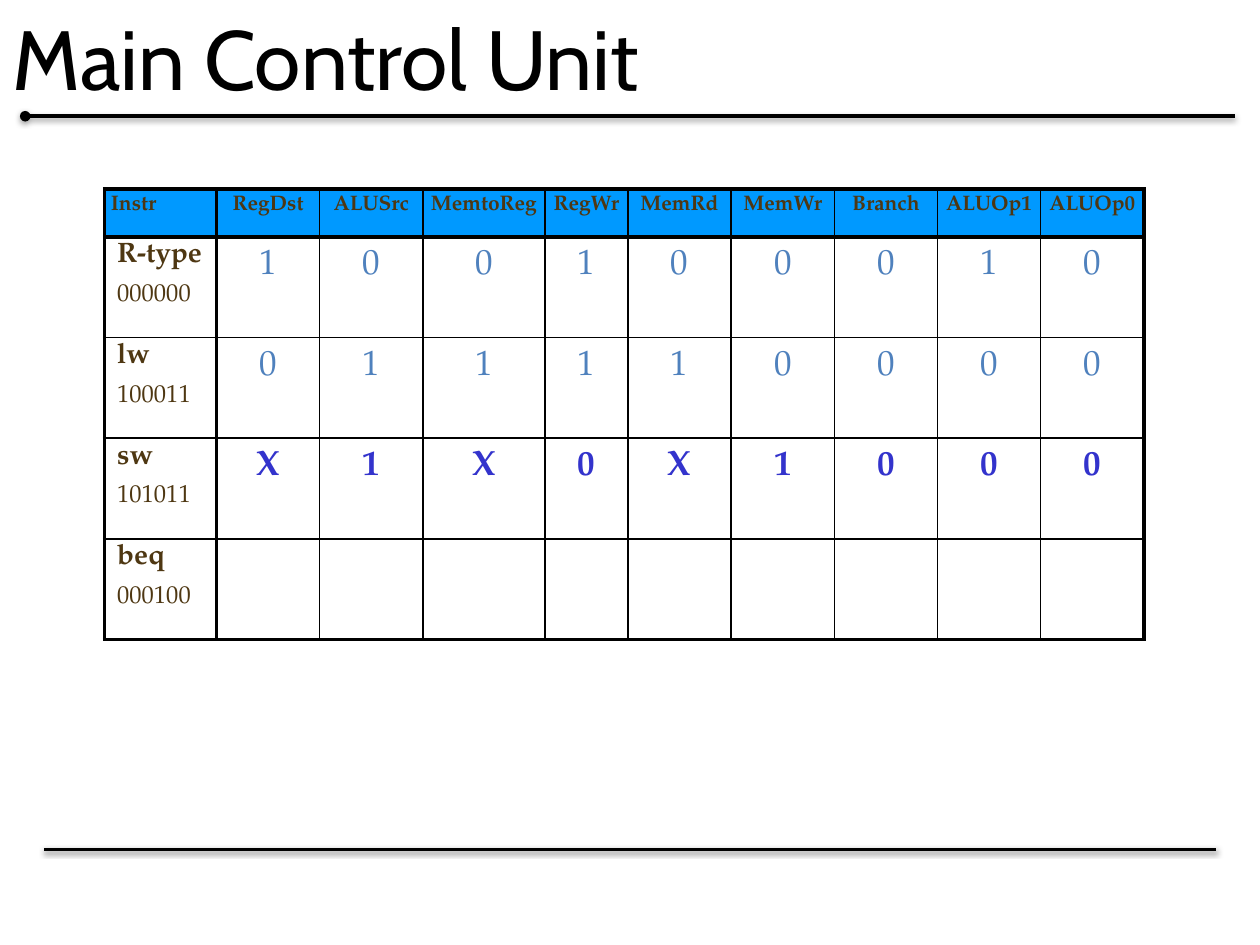
from dataclasses import dataclass

from lxml.etree import SubElement
from pptx import Presentation
from pptx.dml.color import RGBColor
from pptx.enum.shapes import MSO_CONNECTOR
from pptx.enum.text import MSO_ANCHOR, PP_ALIGN
from pptx.oxml import parse_xml
from pptx.oxml.ns import nsdecls, qn
from pptx.util import Inches, Pt


@dataclass(frozen=True)
class Theme:
    ink: str = "000000"
    header_fill: str = "0099FF"
    label: str = "4E3712"
    signal: str = "4F81BD"
    highlight: str = "3333CC"
    title_font: str = "Cabin"
    table_font: str = "TeX Gyre Pagella"
    title_size: float = 48
    header_size: float = 12
    name_size: float = 16
    opcode_size: float = 14
    signal_size: float = 20
    rule_width: float = 2
    heavy_border: float = 2.25
    thin_border: float = 1


@dataclass(frozen=True)
class Rule:
    start: float
    end: float
    height: float
    dotted: bool = False


@dataclass(frozen=True)
class Instruction:
    name: str
    opcode: str
    signals: str = ""
    highlighted: bool = False


@dataclass(frozen=True)
class Style:
    size: float
    color: str
    bold: bool = False


THEME = Theme()
WIDTH, HEIGHT = Inches(10), Inches(7.5)
TITLE_SHARE = 0.12
TABLE_LEFT, TABLE_TOP, TABLE_WIDTH, TABLE_HEIGHT = 0.083, 0.2, 0.825, 0.477
COLUMN_WEIGHTS = [0.89, 0.82, 0.82, 0.97, 0.66] + [0.82] * 5
ROW_WEIGHTS = [0.38] + [0.8] * 4
HEADINGS = ["Instr", "RegDst", "ALUSrc", "MemtoReg", "RegWr",
            "MemRd", "MemWr", "Branch", "ALUOp1", "ALUOp0"]
INSTRUCTIONS = [
    Instruction("R-type", "000000", "100100010"),
    Instruction("lw", "100011", "011110000"),
    Instruction("sw", "101011", "X1X0X1000", highlighted=True),
    Instruction("beq", "000100"),
]
RULES = [Rule(0.02, 0.98, 0.123, dotted=True), Rule(0.965, 0.035, 0.899)]


def across(share: float) -> int:
    return round(WIDTH * share)


def down(share: float) -> int:
    return round(HEIGHT * share)


def set_title(slide, text: str) -> None:
    title = slide.shapes.title
    title.left, title.top, title.width, title.height = 0, 0, WIDTH, down(TITLE_SHARE)
    title.text_frame.text = text
    title.text_frame.vertical_anchor = MSO_ANCHOR.MIDDLE
    heading = title.text_frame.paragraphs[0]
    heading.alignment = PP_ALIGN.LEFT
    heading.font.name = THEME.title_font
    heading.font.size = Pt(THEME.title_size)
    heading.font.color.rgb = RGBColor.from_string(THEME.ink)


def draw_rule(slide, rule: Rule) -> None:
    line = slide.shapes.add_connector(
        MSO_CONNECTOR.STRAIGHT, across(rule.start), down(rule.height),
        across(rule.end), down(rule.height))
    line.line.color.rgb = RGBColor.from_string(THEME.ink)
    line.line.width = Pt(THEME.rule_width)
    properties = line._element.spPr
    if rule.dotted:
        SubElement(properties.find(qn("a:ln")), qn("a:headEnd"), type="oval")
    properties.append(parse_xml(
        f'<a:effectLst {nsdecls("a")}>'
        f'<a:outerShdw blurRad="{Pt(3.1)}" dist="{Pt(1)}" dir="5400000" rotWithShape="0">'
        f'<a:srgbClr val="{THEME.ink}"><a:alpha val="38000"/></a:srgbClr>'
        '</a:outerShdw></a:effectLst>'))


def set_borders(cell, row: int, column: int) -> None:
    heavy_edges = {
        "lnL": column <= 1,
        "lnR": column in (0, len(COLUMN_WEIGHTS) - 1),
        "lnT": row <= 1,
        "lnB": row in (0, len(ROW_WEIGHTS) - 1),
    }
    properties = cell._tc.get_or_add_tcPr()
    for position, (edge, heavy) in enumerate(heavy_edges.items()):
        width = Pt(THEME.heavy_border if heavy else THEME.thin_border)
        properties.insert(position, parse_xml(
            f'<a:{edge} {nsdecls("a")} w="{width}"><a:solidFill>'
            f'<a:srgbClr val="{THEME.ink}"/></a:solidFill></a:{edge}>'))


def write_cell(cell, lines: list[str], styles: list[Style], centred: bool) -> None:
    cell.text_frame.text = "\n".join(lines)
    for index, (paragraph, style) in enumerate(zip(cell.text_frame.paragraphs, styles)):
        paragraph.alignment = PP_ALIGN.CENTER if centred else PP_ALIGN.LEFT
        paragraph.line_spacing = 0.9
        if index:
            paragraph.space_before = Pt(0.65 * style.size)
        paragraph.font.name = THEME.table_font
        paragraph.font.size = Pt(style.size)
        paragraph.font.bold = style.bold
        paragraph.font.color.rgb = RGBColor.from_string(style.color)


def set_margins(cell, inches: float) -> None:
    cell.margin_left = cell.margin_right = Inches(inches)
    cell.margin_top = cell.margin_bottom = Inches(inches)


def fill_instruction(table, row: int, instruction: Instruction) -> None:
    write_cell(table.cell(row, 0), [instruction.name, instruction.opcode],
               [Style(THEME.name_size, THEME.label, True),
                Style(THEME.opcode_size, THEME.label)], centred=False)
    color = THEME.highlight if instruction.highlighted else THEME.signal
    style = Style(THEME.signal_size, color, instruction.highlighted)
    for column, signal in enumerate(instruction.signals, start=1):
        cell = table.cell(row, column)
        set_margins(cell, 0.1)
        write_cell(cell, [signal], [style], centred=True)


def draw_control_table(slide) -> None:
    table = slide.shapes.add_table(
        len(ROW_WEIGHTS), len(COLUMN_WEIGHTS), across(TABLE_LEFT), down(TABLE_TOP),
        across(TABLE_WIDTH), down(TABLE_HEIGHT)).table
    table.first_row = table.horz_banding = False
    for column, weight in zip(table.columns, COLUMN_WEIGHTS):
        column.width = across(TABLE_WIDTH * weight / sum(COLUMN_WEIGHTS))
    for row, weight in zip(table.rows, ROW_WEIGHTS):
        row.height = down(TABLE_HEIGHT * weight / sum(ROW_WEIGHTS))

    for column, heading in enumerate(HEADINGS):
        cell = table.cell(0, column)
        set_margins(cell, 0.05)
        write_cell(cell, [heading], [Style(THEME.header_size, THEME.label, True)],
                   centred=column > 0)
    for row, instruction in enumerate(INSTRUCTIONS, start=1):
        fill_instruction(table, row, instruction)

    for row in range(len(ROW_WEIGHTS)):
        for column in range(len(COLUMN_WEIGHTS)):
            cell = table.cell(row, column)
            if row == 0:
                cell.fill.solid()
                cell.fill.fore_color.rgb = RGBColor.from_string(THEME.header_fill)
            else:
                cell.fill.background()
            set_borders(cell, row, column)


def main() -> None:
    deck = Presentation()
    deck.slide_width, deck.slide_height = WIDTH, HEIGHT
    slide = deck.slides.add_slide(deck.slide_layouts[5])
    set_title(slide, "Main Control Unit")
    for rule in RULES:
        draw_rule(slide, rule)
    draw_control_table(slide)
    deck.save("out.pptx")


if __name__ == "__main__":
    main()
